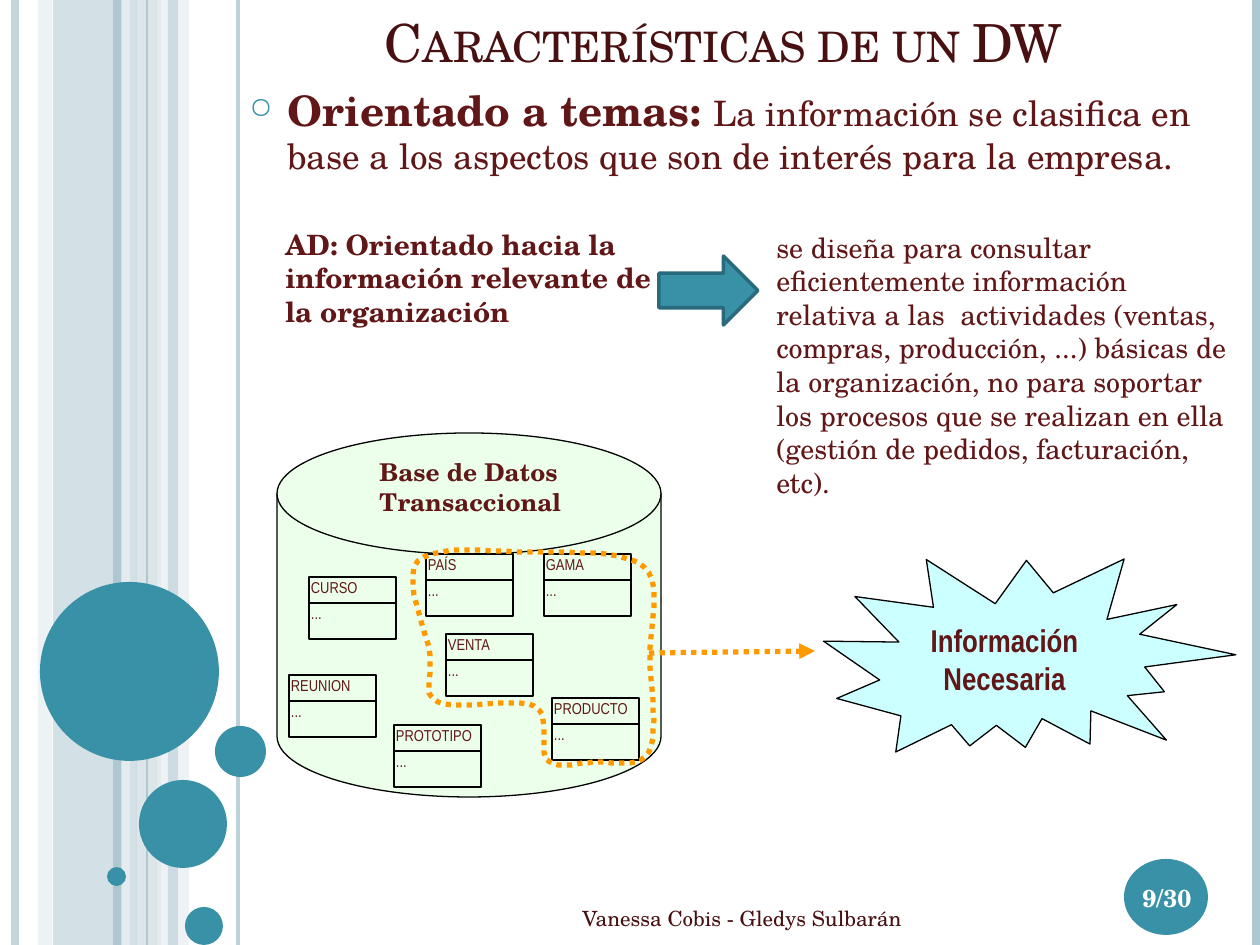
from dataclasses import dataclass

from lxml import etree
from pptx import Presentation
from pptx.dml.color import RGBColor
from pptx.enum.dml import MSO_LINE
from pptx.enum.shapes import MSO_CONNECTOR, MSO_SHAPE
from pptx.enum.text import MSO_ANCHOR, PP_ALIGN
from pptx.oxml.ns import qn
from pptx.util import Emu, Pt

EMU_PER_PX = 914400 / 126
WIDTH, HEIGHT = 1260, 945


@dataclass(frozen=True)
class Theme:
    serif: str = "TeX Gyre Schola"
    narrow: str = "Arial Narrow"
    teal: str = "3891A7"
    teal_dark: str = "296B7C"
    blue_gray: str = "AFC7D0"
    gray: str = "CEDCE1"
    pale: str = "E8EEF1"
    heading: str = "481011"
    text: str = "611617"
    white: str = "FFFFFF"
    black: str = "000000"
    orange: str = "FF9900"
    cyan: str = "CCFFFF"
    green: str = "EBFFEB"
    title_size: int = 30
    lead_size: int = 24
    body_size: int = 20
    burst_size: int = 18
    note_size: int = 16
    label_size: int = 14
    footer_size: int = 12
    card_size: int = 9


THEME = Theme()


def px(value):
    return Emu(round(value * EMU_PER_PX))


def add_xml(parent, tag, **attributes):
    return etree.SubElement(parent, qn(tag), attributes)


def set_color(fill, color, opacity=100):
    fill.solid()
    fill.fore_color.rgb = RGBColor.from_string(color)
    if opacity < 100:
        node = fill._xPr.find(qn("a:solidFill"))[0]
        add_xml(node, "a:alpha", val=str(opacity * 1000))


def set_line(line, color, width, opacity=100):
    set_color(line.fill, color, opacity)
    line.width = Pt(width)


def style_run(run, size, color=THEME.text, font=THEME.serif, bold=False):
    run.font.size = Pt(size)
    run.font.name = font
    run.font.bold = bold
    run.font.color.rgb = RGBColor.from_string(color)


def add_shape(slide, kind, box, fill=None, line=None, opacity=100):
    shape = slide.shapes.add_shape(kind, *map(px, box))
    shape.shadow.inherit = False
    if fill:
        set_color(shape.fill, fill, opacity)
    else:
        shape.fill.background()
    if line:
        set_line(shape.line, *line)
    else:
        shape.line.fill.background()
    return shape


def add_line(slide, start, end, color, width, opacity=100):
    line = slide.shapes.add_connector(MSO_CONNECTOR.STRAIGHT, *map(px, start + end))
    set_line(line.line, color, width, opacity)
    add_xml(line._element.spPr, "a:effectLst")
    return line


def add_text(slide, box, text, size, align=PP_ALIGN.LEFT,
             anchor=MSO_ANCHOR.TOP, **style):
    frame = slide.shapes.add_textbox(*map(px, box)).text_frame
    frame.word_wrap = True
    frame.vertical_anchor = anchor
    frame.text = text
    paragraph = frame.paragraphs[0]
    paragraph.alignment = align
    style_run(paragraph.runs[0], size, **style)
    return paragraph


def add_background(slide):
    # Vertical bands: left, width, color, opacity
    for left, width, color, opacity in (
        (53, 84, THEME.blue_gray, 54), (38, 14, THEME.gray, 36),
        (136, 25, THEME.gray, 70), (157, 32, THEME.pale, 71),
    ):
        add_shape(slide, MSO_SHAPE.RECTANGLE, (left, 0, width, HEIGHT), color,
                  opacity=opacity)
    # Vertical rules: x, color, width, opacity
    for x, color, width, opacity in (
        (15, THEME.blue_gray, 4.5, 73), (126, THEME.pale, 4.5, 83),
        (117, THEME.blue_gray, 4.5, 100), (238, THEME.blue_gray, 2.25, 82),
        (147, THEME.blue_gray, 0.75, 100), (1256, THEME.blue_gray, 4.5, 100),
    ):
        add_line(slide, (x, 0), (x, HEIGHT), color, width, opacity)
    add_shape(slide, MSO_SHAPE.RECTANGLE, (168, 0, 10, HEIGHT), THEME.blue_gray,
              opacity=51)
    # Bubbles: left, top, diameter
    for left, top, size in ((40, 582, 179), (139, 780, 88), (107, 867, 19),
                            (185, 907, 38), (215, 726, 51)):
        add_shape(slide, MSO_SHAPE.OVAL, (left, top, size, size), THEME.teal)


def add_lead(slide):
    paragraph = add_text(slide, (237, 78, 1014, 759), "Orientado a temas: ",
                         THEME.lead_size, bold=True)
    run = paragraph.add_run()
    run.text = ("La información se clasifica en base a los aspectos "
                "que son de interés para la empresa.")
    style_run(run, THEME.body_size)
    paragraph.space_before = Pt(6)
    properties = paragraph._p.get_or_add_pPr()
    properties.set("marL", str(px(38)))
    properties.set("indent", str(px(-38)))
    bullet_color = add_xml(properties, "a:buClr")
    add_xml(bullet_color, "a:srgbClr", val=THEME.teal)
    add_xml(properties, "a:buSzPct", val="70000")
    add_xml(properties, "a:buChar", char="○")


def add_card(slide, left, top, name):
    for offset, height, text in ((0, 26, name), (26, 36, "...")):
        cell = add_shape(slide, MSO_SHAPE.RECTANGLE, (left, top + offset, 87, height),
                         line=(THEME.black, 0.75))
        frame = cell.text_frame
        frame.margin_left = frame.margin_right = px(2)
        frame.margin_top = frame.margin_bottom = px(1)
        frame.vertical_anchor = MSO_ANCHOR.TOP
        frame.text = text
        frame.paragraphs[0].alignment = PP_ALIGN.LEFT
        style_run(frame.paragraphs[0].runs[0], THEME.card_size, font=THEME.narrow)


def bezier_points(start, curves, steps=10):
    points = []
    for curve in curves:
        corners = (start, *curve)
        for step in range(1, steps + 1):
            t = step / steps
            weights = ((1 - t) ** 3, 3 * t * (1 - t) ** 2, 3 * t ** 2 * (1 - t), t ** 3)
            points.append(tuple(sum(w * c[axis] for w, c in zip(weights, corners))
                                for axis in (0, 1)))
        start = curve[-1]
    return points


def add_selection(slide):
    start = (547, 760)
    curves = (
        ((557, 769), (576, 764), (593, 762)), ((610, 761), (639, 770), (649, 752)),
        ((658, 735), (651, 688), (650, 658)), ((649, 626), (664, 585), (644, 567)),
        ((624, 549), (566, 553), (528, 552)), ((490, 552), (435, 544), (418, 561)),
        ((402, 578), (427, 633), (430, 655)), ((433, 679), (421, 694), (438, 702)),
        ((455, 711), (517, 697), (534, 706)), ((553, 716), (538, 750), start),
    )
    builder = slide.shapes.build_freeform(*start, scale=EMU_PER_PX)
    builder.add_line_segments(bezier_points(start, curves), close=True)
    outline = builder.convert_to_shape()
    outline.shadow.inherit = False
    outline.fill.background()
    set_line(outline.line, THEME.orange, 3)
    outline.line.dash_style = MSO_LINE.ROUND_DOT


def add_diagram(slide):
    # Needed information
    burst = add_shape(slide, MSO_SHAPE.EXPLOSION2, (824, 542, 407, 234), THEME.cyan,
                      (THEME.black, 0.75))
    burst.rotation = 11.3
    add_text(slide, (895, 615, 219, 105), "Información Necesaria", THEME.burst_size,
             PP_ALIGN.CENTER, font=THEME.narrow, bold=True)
    # Transactional database
    add_shape(slide, MSO_SHAPE.FLOWCHART_MAGNETIC_DISK, (277, 433, 384, 364),
              THEME.green, (THEME.black, 0.75))
    add_text(slide, (367, 451, 215, 86), "Base de Datos Transaccional",
             THEME.label_size, bold=True)
    for left, top, name in (
        (552, 698, "PRODUCTO"), (544, 554, "GAMA"), (446, 634, "VENTA"),
        (426, 554, "PAÍS"), (309, 577, "CURSO"), (289, 675, "REUNION"),
        (394, 725, "PROTOTIPO"),
    ):
        add_card(slide, left, top, name)
    # Relevant tables and their result
    add_selection(slide)
    arrow = add_line(slide, (649, 653), (815, 651), THEME.orange, 3)
    arrow.line.dash_style = MSO_LINE.ROUND_DOT
    add_xml(arrow.line._get_or_add_ln(), "a:tailEnd", type="triangle")


def main():
    presentation = Presentation()
    presentation.slide_width, presentation.slide_height = px(WIDTH), px(HEIGHT)
    slide = presentation.slides.add_slide(presentation.slide_layouts[6])
    add_background(slide)

    # Title and lead
    title = add_text(slide, (246, 0, 955, 79), "Características de un DW",
                     THEME.title_size, PP_ALIGN.CENTER, MSO_ANCHOR.BOTTOM,
                     color=THEME.heading)
    title.runs[0]._r.get_or_add_rPr().set("cap", "small")
    add_lead(slide)

    add_diagram(slide)

    # Orientation and its explanation
    add_text(slide, (273, 221, 394, 113),
             "AD: Orientado hacia la información relevante de la organización",
             THEME.note_size, bold=True)
    add_text(slide, (764, 224, 476, 285),
             "se diseña para consultar eficientemente información relativa a las  "
             "actividades (ventas, compras, producción, ...) básicas de la "
             "organización, no para soportar los procesos que se realizan en ella "
             "(gestión de pedidos, facturación, etc).", THEME.note_size)
    add_shape(slide, MSO_SHAPE.RIGHT_ARROW, (659, 256, 99, 69), THEME.teal,
              (THEME.teal_dark, 2))

    # Footer and page number
    add_text(slide, (570, 892, 386, 53), "Vanessa Cobis - Gledys Sulbarán",
             THEME.footer_size, anchor=MSO_ANCHOR.MIDDLE, color=THEME.heading)
    add_shape(slide, MSO_SHAPE.OVAL, (1124, 859, 84, 76), THEME.teal)
    add_text(slide, (1113, 862, 108, 72), "9/30", THEME.label_size, PP_ALIGN.CENTER,
             MSO_ANCHOR.MIDDLE, color=THEME.white, bold=True)
    presentation.save("out.pptx")


if __name__ == "__main__":
    main()
